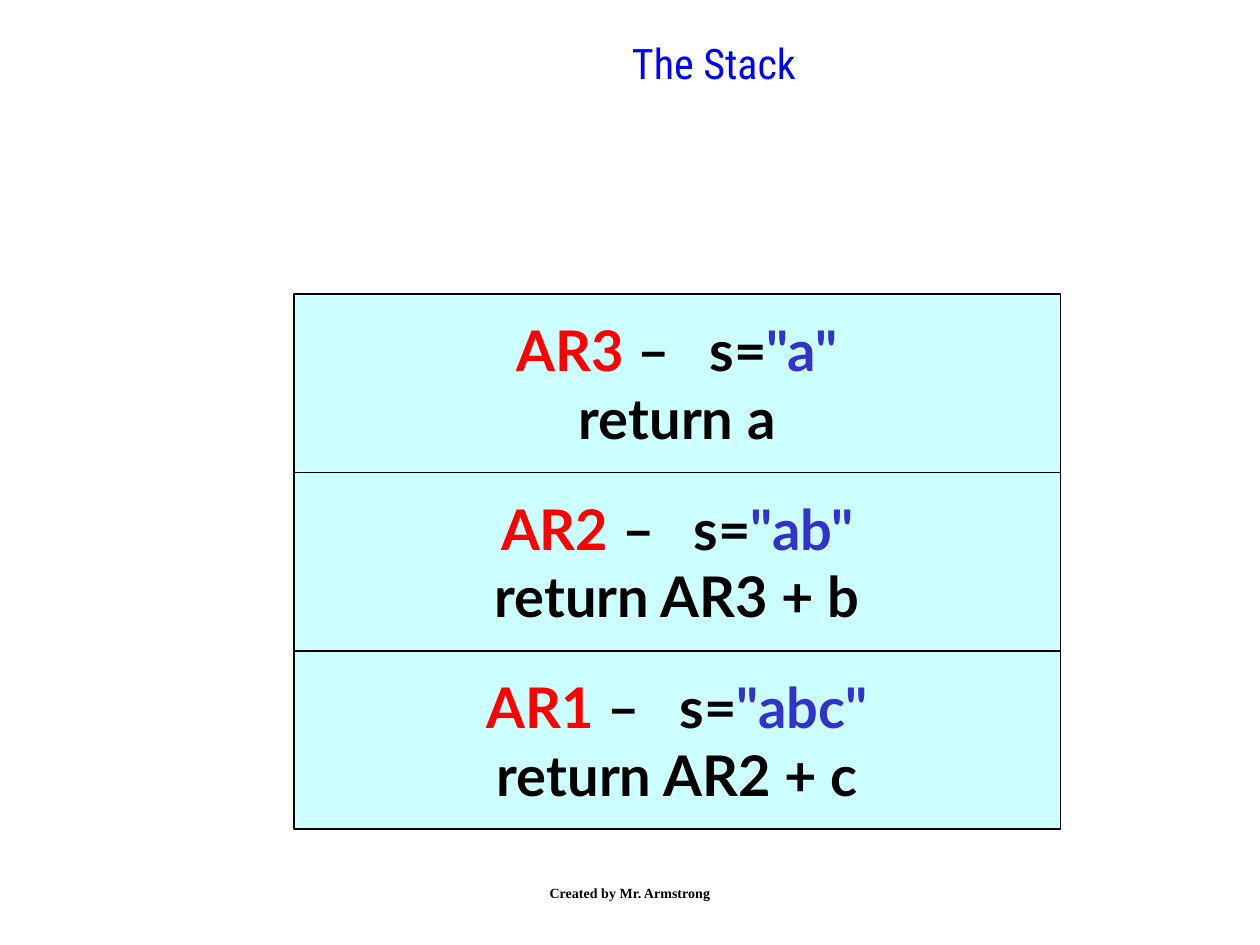
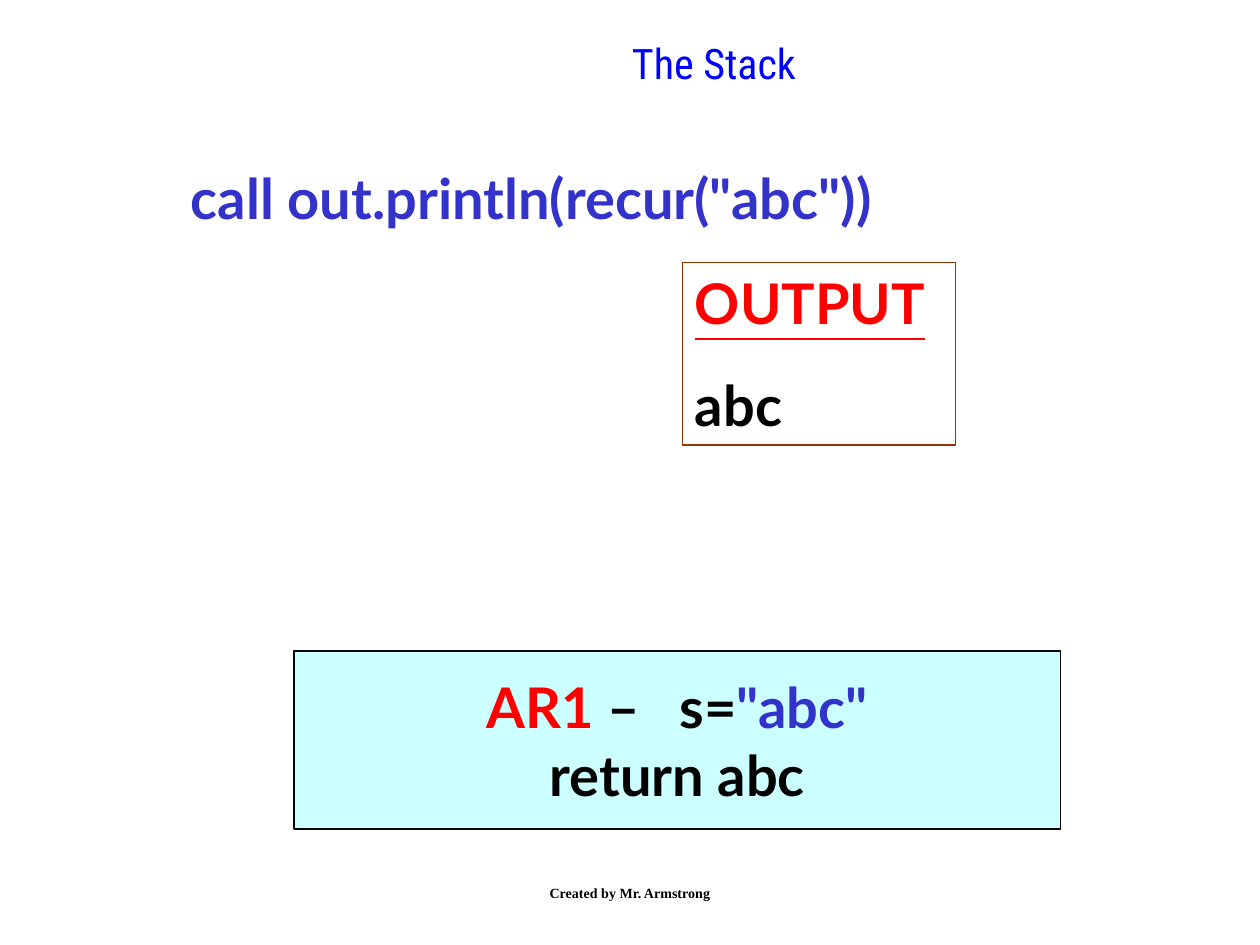
from pptx import Presentation
from pptx.dml.color import RGBColor
from pptx.enum.shapes import MSO_SHAPE
from pptx.enum.text import MSO_ANCHOR, PP_ALIGN
from pptx.util import Pt

PX = 9525
INK = {
    "black": "000000",
    "red": "FF0000",
    "blue": "3333CC",
    "title": "0000FF",
    "card": "CCFFFF",
    "brown": "993300",
}


def write(frame, lines, font="Lato", size=32, bold=True, align=PP_ALIGN.LEFT,
          anchor=MSO_ANCHOR.TOP, before=0):
    frame.word_wrap = True
    frame.vertical_anchor = anchor
    for num, line in enumerate(lines):
        para = frame.paragraphs[0] if num == 0 else frame.add_paragraph()
        para.alignment = align
        para.space_before = Pt(before)
        for text, ink, *style in line:
            run = para.add_run()
            run.text = text
            run.font.name = font
            run.font.size = Pt(size)
            run.font.bold = bold
            run.font.underline = "under" in style
            run.font.color.rgb = RGBColor.from_string(INK[ink])
            if "wide" in style:
                run.font._element.set("spc", "1450")


def place(slide, left, top, width, height, line=None, fill=None):
    area = [n * PX for n in (left, top, width, height)]
    if line is None:
        return slide.shapes.add_textbox(*area).text_frame
    box = slide.shapes.add_shape(MSO_SHAPE.RECTANGLE, *area)
    box.shadow.inherit = False
    box.line.color.rgb = RGBColor.from_string(INK[line])
    box.line.width = Pt(1)
    if fill:
        box.fill.solid()
        box.fill.fore_color.rgb = RGBColor.from_string(INK[fill])
    else:
        box.fill.background()
    return box.text_frame


deck = Presentation()
deck.slide_width = 960 * PX
deck.slide_height = 720 * PX

stacks = [
    [("AR1", "abc", "AR2 + c"), ("AR2", "ab", "AR3 + b"), ("AR3", "a", "a")],
    [("AR1", "abc", "abc")],
]
HIGH = 136
BASE = 632

for stack in stacks:
    slide = deck.slides.add_slide(deck.slide_layouts[6])
    for row, (name, value, result) in enumerate(stack, 1):
        card = place(slide, 224, BASE - row * HIGH, 584, HIGH, "black", "card")
        head = [(name, "red"), (" –", "black"), (" ", "black", "wide"),
                ("s=", "black"), (f'"{value}"', "blue")]
        write(card, [head, [(f"return {result}", "black")]],
              align=PP_ALIGN.CENTER, anchor=MSO_ANCHOR.MIDDLE)
    write(place(slide, 224, 24, 640, 56), [[("The Stack", "title")]],
          font="Roboto Condensed", size=24, bold=False, align=PP_ALIGN.CENTER)
    write(place(slide, 328, 656, 304, 48),
          [[("Created by Mr. Armstrong", "black")]], font="Times New Roman",
          size=8, align=PP_ALIGN.CENTER, anchor=MSO_ANCHOR.MIDDLE)

write(place(slide, 520, 200, 208, 139, "brown"),
      [[("OUTPUT", "red", "under")], [("abc", "black")]], before=20)
write(place(slide, 136, 120, 680, 61),
      [[('call out.println(recur("abc"))', "blue")]])

deck.save("out.pptx")
